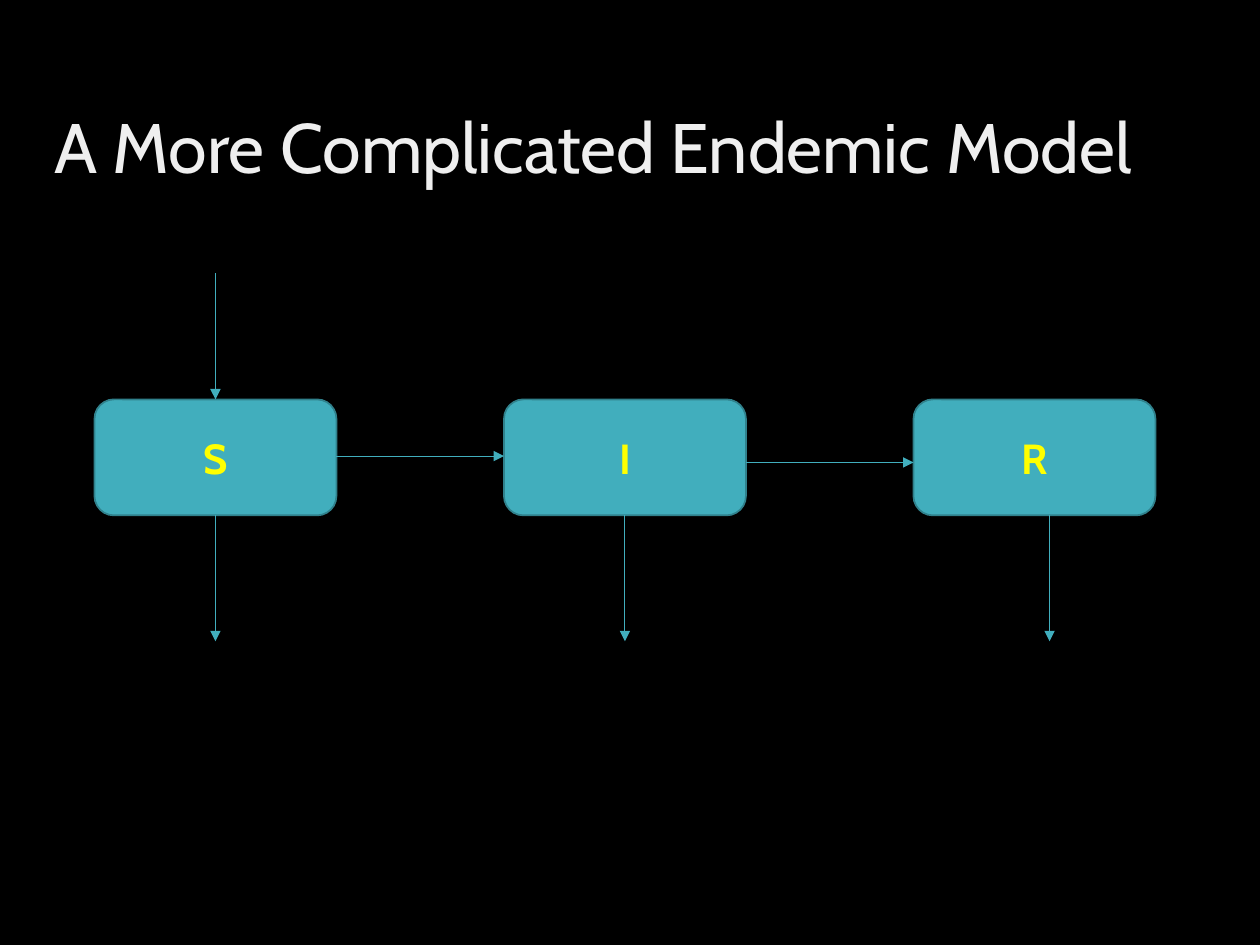
from dataclasses import dataclass

from lxml.etree import SubElement
from pptx import Presentation
from pptx.dml.color import RGBColor
from pptx.enum.shapes import MSO_CONNECTOR as Connector, MSO_SHAPE as Shape
from pptx.enum.text import MSO_ANCHOR as Anchor, PP_ALIGN as Align
from pptx.oxml.ns import qn
from pptx.util import Inches, Pt


@dataclass(frozen=True)
class Theme:
    font: str = "Cabin"
    background: RGBColor = RGBColor(0x00, 0x00, 0x00)
    title: RGBColor = RGBColor(0xEF, 0xEF, 0xEF)
    box: RGBColor = RGBColor(0x41, 0xAE, 0xBD)
    outline: RGBColor = RGBColor(0x30, 0x81, 0x8C)
    label: RGBColor = RGBColor(0xFF, 0xFF, 0x00)
    title_size: Pt = Pt(40)
    label_size: Pt = Pt(24)
    outline_width: Pt = Pt(1)
    arrow_width: Pt = Pt(0.5)


THEME = Theme()
TITLE_BOX = tuple(map(Inches, (0.33, 0.47, 9.42, 1.45)))
MODEL_BOX = tuple(map(Inches, (0.75, 2.17, 8.42, 2.92)))
COMPARTMENTS = ("S", "I", "R")


def write_text(shape, text, align, color, **font_format):
    frame = shape.text_frame
    frame.word_wrap = True
    frame.vertical_anchor = Anchor.MIDDLE
    para = frame.paragraphs[0]
    para.alignment = align
    span = para.add_run()
    span.text = text
    span.font.color.rgb = color
    for name, value in {"name": THEME.font, **font_format}.items():
        setattr(span.font, name, value)
    return para


def add_title(page, box, text):
    title = page.shapes.title
    for name, value in zip(("left", "top", "width", "height"), box):
        setattr(title, name, value)
    para = write_text(title, text, Align.LEFT, THEME.title, size=THEME.title_size)
    para.line_spacing = 0.9


def add_compartment(page, box, label):
    shape = page.shapes.add_shape(Shape.ROUNDED_RECTANGLE, *box)
    shape.shadow.inherit = False
    shape.fill.solid()
    shape.fill.fore_color.rgb = THEME.box
    shape.line.color.rgb = THEME.outline
    shape.line.width = THEME.outline_width
    write_text(shape, label, Align.CENTER, THEME.label,
               size=THEME.label_size, bold=True)


def add_arrow(page, start, end):
    arrow = page.shapes.add_connector(Connector.STRAIGHT, *start, *end)
    arrow.line.color.rgb = THEME.box
    arrow.line.width = THEME.arrow_width
    properties = arrow._element.spPr
    SubElement(properties.find(qn("a:ln")), qn("a:tailEnd"), type="triangle")
    SubElement(properties, qn("a:effectLst"))


def add_model(page, box):
    """Draw the compartments in a row, with flows in, across and out."""
    left, top, width, height = box
    box_width, box_height = Inches(1.92), Inches(0.92)
    flow = Inches(1)
    pitch = (width - box_width) // (len(COMPARTMENTS) - 1)
    box_top = top + flow
    box_bottom = box_top + box_height
    lefts = [left + index * pitch for index in range(len(COMPARTMENTS))]

    for box_left, label in zip(lefts, COMPARTMENTS):
        add_compartment(page, (box_left, box_top, box_width, box_height), label)

    for box_left, drop in zip(lefts, (Inches(0.45), Inches(0.5))):
        y = box_top + drop
        add_arrow(page, (box_left + box_width, y), (box_left + pitch, y))

    centers = [box_left + box_width // 2 for box_left in lefts]
    add_arrow(page, (centers[0], top), (centers[0], box_top))
    for center, shift in zip(centers, (0, 0, Inches(0.12))):
        x = center + shift
        add_arrow(page, (x, box_bottom), (x, top + height))


def main():
    deck = Presentation()
    deck.slide_width, deck.slide_height = Inches(10), Inches(7.5)
    page = deck.slides.add_slide(deck.slide_layouts.get_by_name("Title Only"))
    page.background.fill.solid()
    page.background.fill.fore_color.rgb = THEME.background
    add_model(page, MODEL_BOX)
    add_title(page, TITLE_BOX, "A More Complicated Endemic Model")
    deck.save("out.pptx")


if __name__ == "__main__":
    main()
